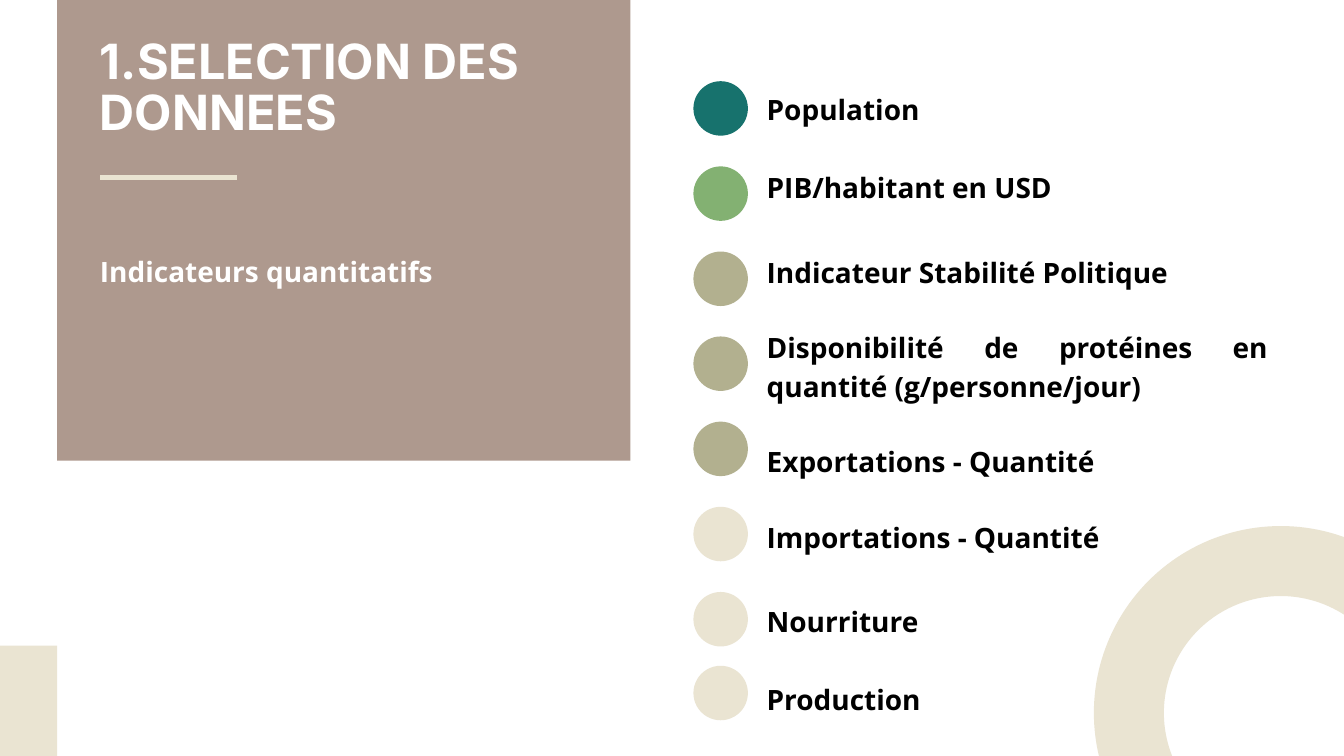
from pptx import Presentation
from pptx.dml.color import RGBColor
from pptx.enum.shapes import MSO_CONNECTOR, MSO_SHAPE
from pptx.enum.text import MSO_AUTO_SIZE, PP_ALIGN
from pptx.oxml.ns import qn
from pptx.util import Cm, Pt
from lxml.etree import SubElement

HUES = {
    "panel": "AE998E", "sand": "EAE4D2", "olive": "B2B08F", "green": "83B172",
    "teal": "17726D", "white": "FFFFFF", "black": "000000",
}
FRAME = {
    "word_wrap": True, "auto_size": MSO_AUTO_SIZE.SHAPE_TO_FIT_TEXT,
    "margin_left": 0, "margin_top": 0, "margin_right": 0, "margin_bottom": 0,
}
TITLE = {"name": "Inter", "size": Pt(52), "bold": True}
BODY = {"name": "Open Sans", "size": Pt(30), "bold": True}
LEAD = {"alignment": PP_ALIGN.LEFT, "line_spacing": Pt(54.6)}
SUB = {"alignment": PP_ALIGN.JUSTIFY, "line_spacing": Pt(46.5)}
ITEM = {"alignment": PP_ALIGN.JUSTIFY, "line_spacing": Pt(42)}

ITEMS = [
    ("Population", "teal", 0, 0.23),
    ("PIB/habitant en USD", "green", 3.22, 3.18),
    ("Indicateur Stabilité Politique", "olive", 6.44, 6.38),
    ("Disponibilité de protéines en quantité (g/personne/jour)", "olive", 9.65, 9.22),
    ("Exportations - Quantité", "olive", 12.87, 13.54),
    ("Importations - Quantité", "sand", 16.09, 16.39),
    ("Nourriture", "sand", 19.31, 19.56),
    ("Production", "sand", 22.1, 22.51),
]


def tint(hue):
    """Return the named colour."""
    return RGBColor.from_string(HUES[hue])


def apply(item, style):
    """Set each value of a style on an object."""
    for key, value in style.items():
        setattr(item, key, value)


def shape(slide, kind, box, hue):
    """Add a plain filled shape."""
    form = slide.shapes.add_shape(kind, *map(Cm, box))
    form.shadow.inherit = False
    form.fill.solid()
    form.fill.fore_color.rgb = tint(hue)
    form.line.fill.background()
    return form


def write(slide, box, text, font, para, hue):
    """Add a text box with one paragraph."""
    frame = slide.shapes.add_textbox(*map(Cm, box)).text_frame
    apply(frame, FRAME)
    line = frame.paragraphs[0]
    apply(line, para)
    run = line.add_run()
    run.text = text
    apply(run.font, font)
    run.font.color.rgb = tint(hue)


def panel(slide, left, top, width, height):
    """Place the title panel with its rule and subtitle."""
    shape(slide, MSO_SHAPE.RECTANGLE, (left, top, width, height), "panel")
    start, level = left + 1.62, top + 6.71
    rule = slide.shapes.add_connector(
        MSO_CONNECTOR.STRAIGHT, Cm(start), Cm(level), Cm(start + 5.16), Cm(level))
    rule.line.width = Pt(6)
    rule.line.color.rgb = tint("sand")
    SubElement(rule._element.spPr, qn("a:effectLst"))
    wide = width - 3.48
    write(slide, (start, top + 1.45, wide, 5.82),
          "1.SELECTION DES DONNEES", TITLE, LEAD, "white")
    write(slide, (start, top + 9.25, wide, 1.5),
          "Indicateurs quantitatifs", BODY, SUB, "white")


def decor(slide, width, height):
    """Place the corner block and the ring."""
    shape(slide, MSO_SHAPE.RECTANGLE, (0, height - 4.17, 2.16, 4.17), "sand")
    ring = shape(slide, MSO_SHAPE.OVAL,
                 (width - 8.13, height - 7.37, 11.48, 11.48), "white")
    ring.fill.background()
    ring.line.width = Pt(75)
    ring.line.color.rgb = tint("sand")


def roster(slide, left, top, width):
    """Place the dots and their labels."""
    for text, hue, dot, label in ITEMS:
        shape(slide, MSO_SHAPE.OVAL, (left, top + dot, 2.06, 2.06), hue)
        write(slide, (left + 2.77, top + label, width - 2.77, 1.37),
              text, BODY, ITEM, "black")


def main():
    """Build and save the slide."""
    deck = Presentation()
    deck.slide_width, deck.slide_height = Cm(50.8), Cm(28.58)
    slide = deck.slides.add_slide(deck.slide_layouts[6])
    decor(slide, 50.8, 28.58)
    panel(slide, 2.16, 0, 21.67, 17.42)
    roster(slide, 26.21, 3.07, 21.72)
    deck.save("out.pptx")


if __name__ == "__main__":
    main()
